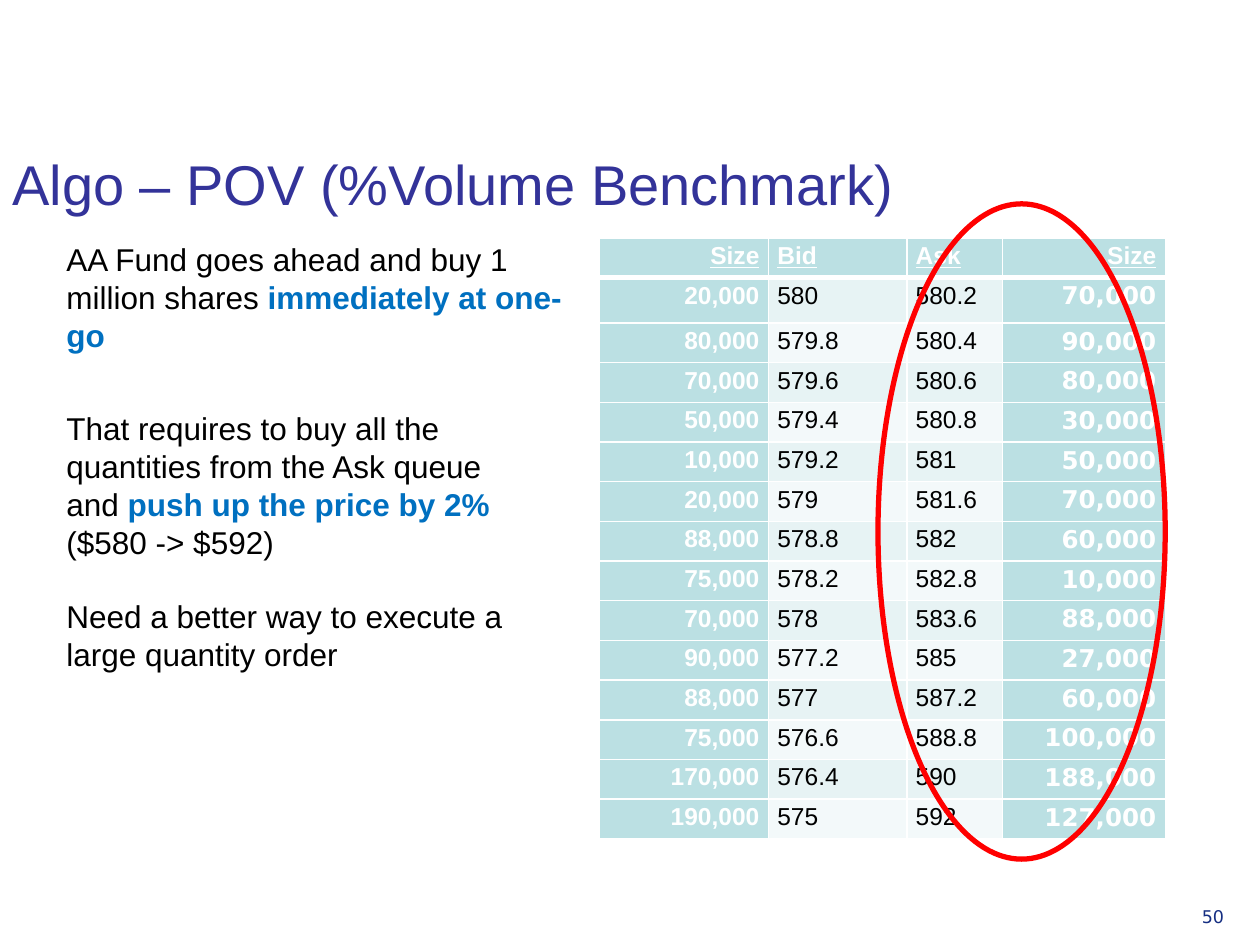
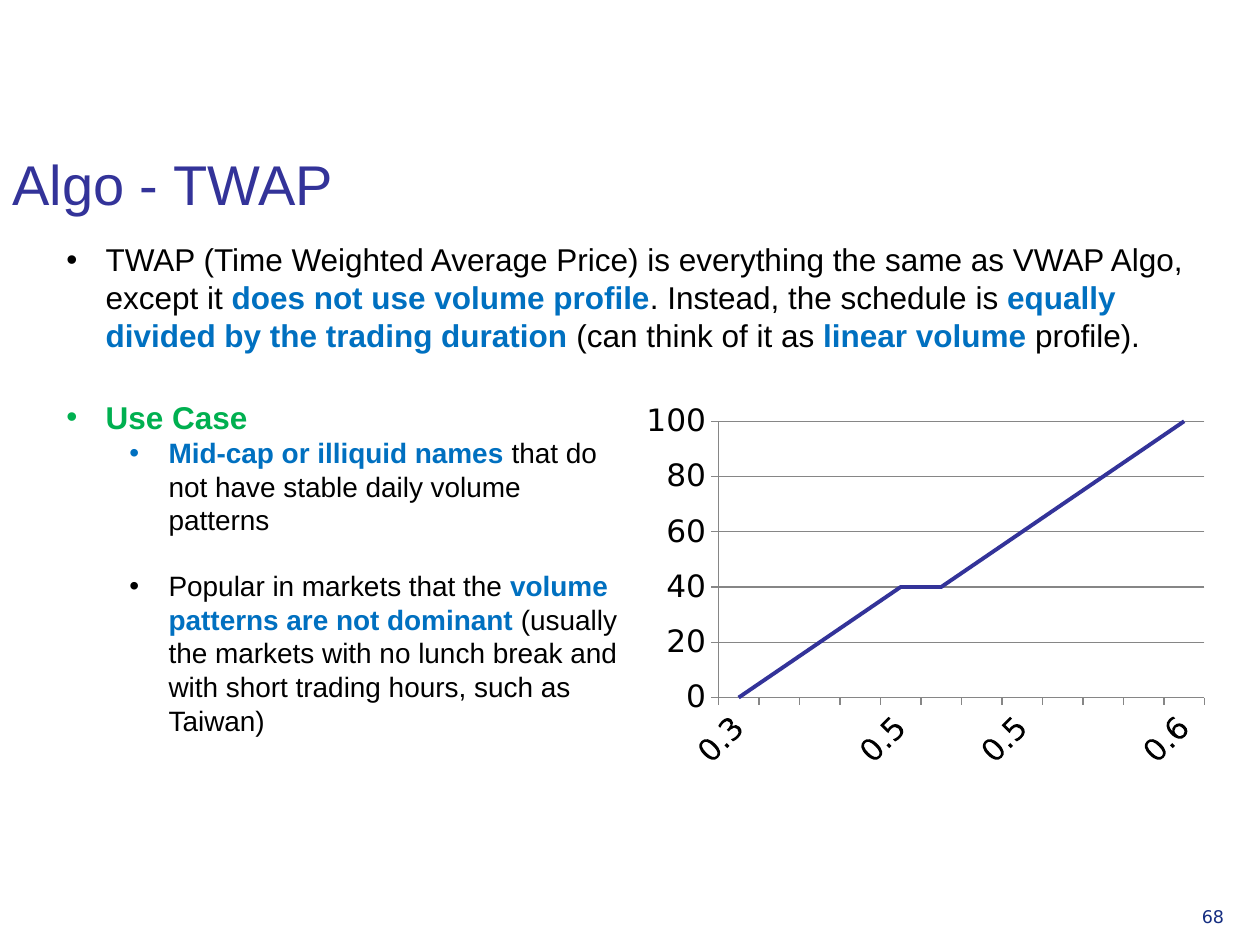
"""Build two slides on trading algorithms: POV with an order book, and TWAP with a schedule chart."""
from lxml import etree
from pptx import Presentation
from pptx.chart.data import CategoryChartData
from pptx.dml.color import RGBColor
from pptx.enum.chart import XL_CHART_TYPE, XL_TICK_MARK
from pptx.enum.shapes import MSO_SHAPE
from pptx.enum.text import MSO_ANCHOR, PP_ALIGN
from pptx.oxml import parse_xml
from pptx.oxml.ns import nsdecls, qn
from pptx.util import Cm, Pt

BLACK = RGBColor(0x00, 0x00, 0x00)
WHITE = RGBColor(0xFF, 0xFF, 0xFF)
RED = RGBColor(0xFF, 0x00, 0x00)
BLUE = RGBColor(0x00, 0x70, 0xC0)
GREEN = RGBColor(0x00, 0xB0, 0x50)
INDIGO = RGBColor(0x33, 0x33, 0x99)
NAVY = RGBColor(0x15, 0x2E, 0x82)
GREY = RGBColor(0x86, 0x86, 0x86)
TEAL = RGBColor(0xBB, 0xE0, 0xE3)
STRIPES = (RGBColor(0xF3, 0xF9, 0xFA), RGBColor(0xE7, 0xF3, 0xF4))
EMPHASIS = (BLUE, GREEN)

LINE = XL_CHART_TYPE.LINE
TICK_OUTSIDE = XL_TICK_MARK.OUTSIDE
ELLIPSE = MSO_SHAPE.OVAL
TOP, BOTTOM = MSO_ANCHOR.TOP, MSO_ANCHOR.BOTTOM
LEFT, RIGHT = PP_ALIGN.LEFT, PP_ALIGN.RIGHT
SANS, DEJAVU = "Arial", "DejaVu Sans"


def add_text(page, place, paragraphs, font_name=SANS, anchor=TOP):
    """Add a text box; each paragraph is (spans, size, space before, left margin)."""
    box = page.shapes.add_textbox(*(Cm(length) for length in place))
    frame = box.text_frame
    frame.word_wrap = True
    frame.vertical_anchor = anchor
    for index, (spans, size, before, margin) in enumerate(paragraphs):
        para = frame.paragraphs[0] if index == 0 else frame.add_paragraph()
        if before:
            para.space_before = Pt(before)
        if margin:
            properties = para._p.get_or_add_pPr()
            properties.set("marL", str(Cm(margin)))
            properties.set("indent", str(-Cm(0.79)))
            colour = etree.SubElement(properties, qn("a:buClr"))
            etree.SubElement(colour, qn("a:srgbClr"), val=str(spans[0][1]))
            etree.SubElement(properties, qn("a:buFont"), typeface=SANS)
            etree.SubElement(properties, qn("a:buChar"), char="•")
        para.font.name = font_name
        para.font.size = Pt(size)
        for text, colour in spans:
            span = para.add_run()
            span.text = text
            span.font.color.rgb = colour
            span.font.bold = colour in EMPHASIS


def add_borders(cell, widths):
    """Draw white cell borders with the given widths in points by side."""
    properties = cell._tc.get_or_add_tcPr()
    for side, width in widths.items():
        line = etree.SubElement(properties, qn(f"a:ln{side}"), w=str(Pt(width)))
        fill = etree.SubElement(line, qn("a:solidFill"))
        etree.SubElement(fill, qn("a:srgbClr"), val=str(WHITE))


deck = Presentation()
deck.slide_width, deck.slide_height = Cm(25.4), Cm(19.05)
pages = []
for title, number in (("Algo – POV (%Volume Benchmark)", "50"), ("Algo - TWAP", "68")):
    page = deck.slides.add_slide(deck.slide_layouts[6])
    add_text(page, (23.98, 18.14, 1.4, 1), [([(number, NAVY)], 10, 0, 0)], DEJAVU)
    add_text(page, (0, 1.73, 22.43, 2.77), [([(title, INDIGO)], 32, 0, 0)], anchor=BOTTOM)
    pages.append(page)
pov, twap = pages

add_text(pov, (1.09, 4.72, 10.8, 12.19), [
    ([("AA Fund goes ahead and buy 1 million shares ", BLACK),
      ("immediately at one-go", BLUE)], 18, 0, 0),
])

order_book = [
    ("Size", "Bid", "Ask", "Size"),
    ("20,000", "580", "580.2", "70,000"),
    ("80,000", "579.8", "580.4", "90,000"),
    ("70,000", "579.6", "580.6", "80,000"),
    ("50,000", "579.4", "580.8", "30,000"),
    ("10,000", "579.2", "581", "50,000"),
    ("20,000", "579", "581.6", "70,000"),
    ("88,000", "578.8", "582", "60,000"),
    ("75,000", "578.2", "582.8", "10,000"),
    ("70,000", "578", "583.6", "88,000"),
    ("90,000", "577.2", "585", "27,000"),
    ("88,000", "577", "587.2", "60,000"),
    ("75,000", "576.6", "588.8", "100,000"),
    ("170,000", "576.4", "590", "188,000"),
    ("190,000", "575", "592", "127,000"),
]
table = pov.shapes.add_table(
    len(order_book), 4, Cm(12.09), Cm(4.8), Cm(11.4), Cm(12.11)).table
table.first_row = table.horz_banding = False
for column, width in zip(table.columns, (3.4, 2.79, 1.93, 3.28)):
    column.width = Cm(width)
for row_index, values in enumerate(order_book):
    table.rows[row_index].height = Cm(0.91 if row_index == 1 else 0.8)
    is_header = row_index == 0
    for column_index, value in enumerate(values):
        is_size = column_index in (0, 3)
        is_strong = is_header or is_size
        cell = table.cell(row_index, column_index)
        cell.margin_left = cell.margin_right = Cm(0.18)
        cell.margin_top = cell.margin_bottom = 0
        add_borders(cell, {"L": 1, "R": 1, "T": 3 if row_index == 1 else 1,
                           "B": 3 if is_header else 1})
        cell.fill.solid()
        cell.fill.fore_color.rgb = TEAL if is_strong else STRIPES[row_index % 2]
        cell.text = value
        para = cell.text_frame.paragraphs[0]
        para.alignment = RIGHT if is_size else LEFT
        para.line_spacing = 1.15
        para.font.name = DEJAVU if column_index == 3 and not is_header else SANS
        para.font.size = Pt(14)
        para.font.bold = is_strong
        para.font.underline = is_header
        para.font.color.rgb = WHITE if is_strong else BLACK

ask_ring = pov.shapes.add_shape(ELLIPSE, Cm(17.7), Cm(4.11), Cm(5.79), Cm(13.21))
ask_ring.shadow.inherit = False
ask_ring.fill.background()
ask_ring.line.color.rgb = RED
ask_ring.line.width = Pt(3)

add_text(pov, (1.09, 8.13, 10.01, 6.4), [
    ([("That requires to buy all the quantities from the Ask queue and ", BLACK),
      ("push up the price by 2%", BLUE), (" ($580 -> $592)", BLACK)], 18, 0, 0),
    ([("Need a better way to execute a large quantity order", BLACK)], 18, 20.7, 0),
])

add_text(twap, (1.09, 4.72, 24, 5.79), [
    ([("TWAP (Time Weighted Average Price) is everything the same as VWAP Algo, except it ", BLACK),
      ("does not use volume profile", BLUE),
      (". Instead, the schedule is ", BLACK),
      ("equally divided by the trading duration ", BLUE),
      ("(can think of it as ", BLACK),
      ("linear volume ", BLUE),
      ("profile).", BLACK)], 18, 0, 0.79),
])

schedule = CategoryChartData()
schedule.categories = ["0.3", "", "", "", "0.5", "", "", "0.5", "", "", "", "0.6"]
schedule.add_series("Series 1", (0, 10, 20, 30, 40, 40, 50, 60, 70, 80, 90, 100))
chart = twap.shapes.add_chart(
    LINE, Cm(13.03), Cm(8.13), Cm(11.48), Cm(7.39), schedule).chart
chart.has_title = chart.has_legend = False
chart.font.name = DEJAVU
chart.font.size = Pt(18)
chart.font.color.rgb = BLACK
series = chart.plots[0].series[0]
series.smooth = False
series.format.line.color.rgb = INDIGO
series.format.line.width = Pt(2.25)
time_axis, volume_axis = chart.category_axis, chart.value_axis
for axis in (time_axis, volume_axis):
    axis.major_tick_mark = TICK_OUTSIDE
    axis.format.line.color.rgb = GREY
    axis.tick_labels.font.size = Pt(18)
time_axis._element.txPr.bodyPr.set("rot", "-2700000")
volume_axis.minimum_scale, volume_axis.maximum_scale = 0, 100
volume_axis.major_unit = 20
volume_axis.major_gridlines.format.line.color.rgb = GREY
plot_area = chart.plots[0]._element.getparent()
for layout in plot_area.findall(qn("c:layout")):
    plot_area.remove(layout)
plot_area.insert(0, parse_xml(
    f'<c:layout {nsdecls("c")}><c:manualLayout><c:layoutTarget val="inner"/>'
    '<c:xMode val="edge"/><c:yMode val="edge"/><c:x val="0.12"/><c:y val="0.05"/>'
    '<c:w val="0.86"/><c:h val="0.77"/></c:manualLayout></c:layout>'
    .replace("0.12", "0.12")))

add_text(twap, (1.09, 7.9, 11.61, 7.95), [
    ([("Use Case", GREEN)], 18, 0, 0.79),
    ([("Mid-cap or illiquid names ", BLUE),
      ("that do not have stable daily volume patterns", BLACK)], 16, 0, 2.06),
    ([("Popular in markets that the ", BLACK),
      ("volume patterns are not dominant ", BLUE),
      ("(usually the markets with no lunch break and with short trading hours, "
       "such as Taiwan)", BLACK)], 16, 18.4, 2.06),
])

deck.save("out.pptx")
